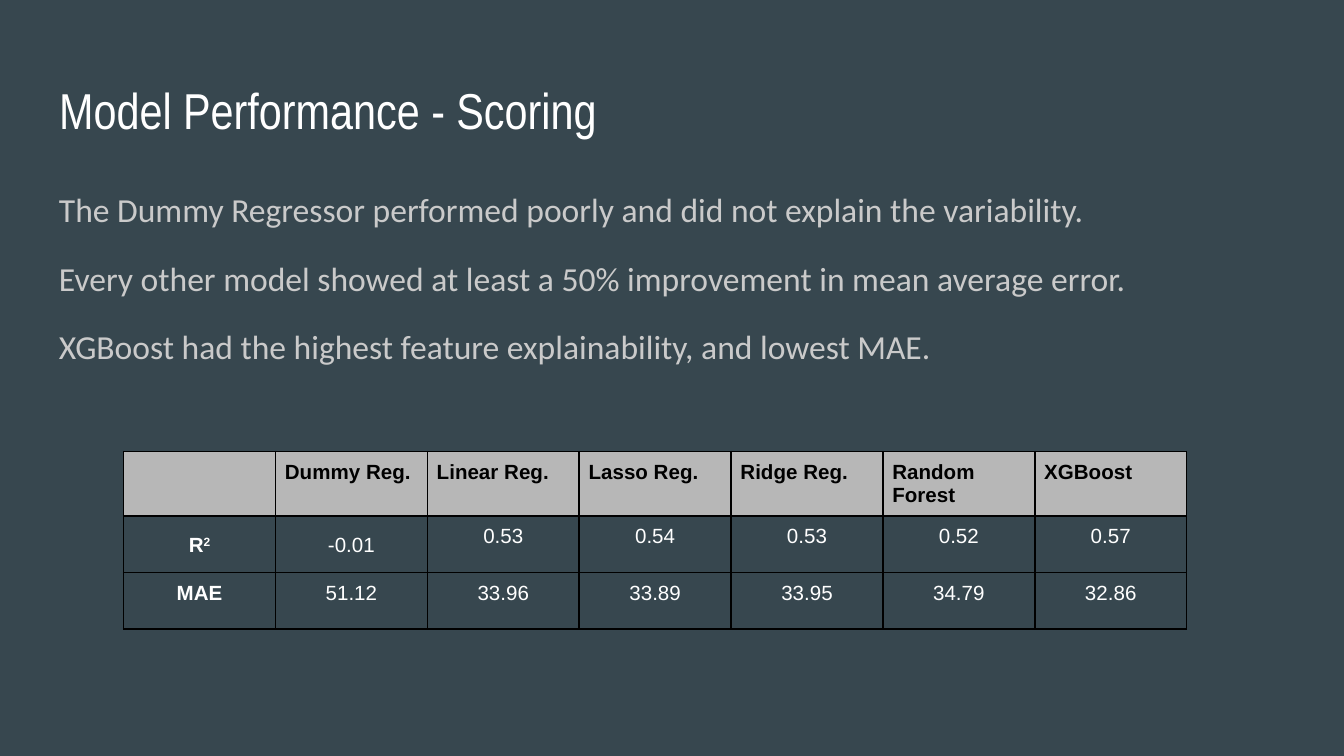
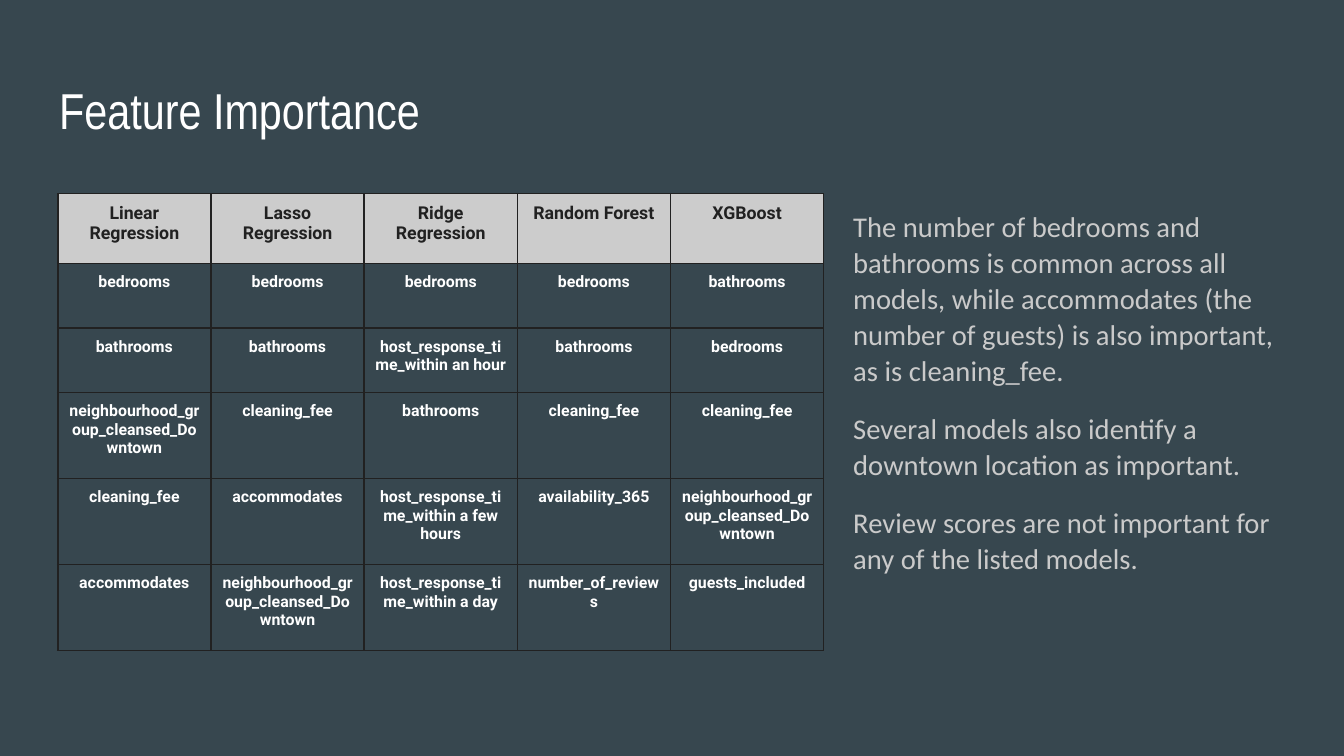
from dataclasses import dataclass

import pptx
import pptx.dml.color
import pptx.enum.text
import pptx.oxml
import pptx.oxml.ns
import pptx.util

Inches = pptx.util.Inches
Pt = pptx.util.Pt
Align = pptx.enum.text.PP_ALIGN


@dataclass(frozen=True)
class Theme:
    back: str = "37474F"
    white: str = "FFFFFF"
    soft: str = "CACACA"
    head_font: str = "Arial Narrow"
    text_font: str = "Calibri"
    head_size: float = 27
    text_size: float = 18
    side_size: float = 15.3
    pad: float = 0.1
    cell_pad: float = 0.07
    gap: float = 12
    edge: float = 1


@dataclass(frozen=True)
class Grid:
    font: str
    head_size: float
    size: float
    ink: str
    fill: str
    line: str
    align: Align
    all_bold: bool


SCORE = Grid("Arial", 11, 11, "000000", "B7B7B7", "000000", Align.LEFT, False)
RANK = Grid("Roboto", 9.5, 8.5, "212121", "CCCCCC", "212121", Align.CENTER, True)


class Deck:
    def __init__(self, theme):
        self.theme = theme
        self.show = pptx.Presentation()
        self.show.slide_width = Inches(10)
        self.show.slide_height = Inches(10) * 9 // 16
        self.slide = None

    def color(self, code):
        return pptx.dml.color.RGBColor.from_string(code)

    def style(self, para, font, size, ink, bold=False):
        for run in para.runs:
            run.font.name = font
            run.font.size = Pt(size)
            run.font.bold = bold
            run.font.color.rgb = self.color(ink)

    def frame(self, shape):
        frame = shape.text_frame
        frame.word_wrap = True
        frame.auto_size = pptx.enum.text.MSO_AUTO_SIZE.NONE
        frame.vertical_anchor = pptx.enum.text.MSO_ANCHOR.TOP
        pad = Inches(self.theme.pad)
        frame.margin_left = frame.margin_right = pad
        frame.margin_top = frame.margin_bottom = pad
        return frame

    def page(self, title):
        look = self.theme
        self.slide = self.show.slides.add_slide(self.show.slide_layouts[5])
        fill = self.slide.background.fill
        fill.solid()
        fill.fore_color.rgb = self.color(look.back)
        shape = self.slide.shapes.title
        shape.left, shape.top = Inches(0.34), Inches(0.49)
        shape.width, shape.height = Inches(9.32), Inches(0.63)
        frame = self.frame(shape)
        frame.text = title
        para = frame.paragraphs[0]
        para.alignment = Align.LEFT
        self.style(para, look.head_font, look.head_size, look.white)

    def body(self, left, top, width, height, lines, size, pitch):
        look = self.theme
        box = self.slide.shapes.add_textbox(
            Inches(left), Inches(top), Inches(width), Inches(height))
        frame = self.frame(box)
        frame.text = "\n".join(lines)
        for index, para in enumerate(frame.paragraphs):
            para.line_spacing = pitch
            para.space_before = Pt(look.gap if index else 0)
            self.style(para, look.text_font, size, look.soft)

    def border(self, cell, code):
        props = cell._tc.get_or_add_tcPr()
        for side in ("lnL", "lnR", "lnT", "lnB"):
            props.append(pptx.oxml.parse_xml(
                f'<a:{side} {pptx.oxml.ns.nsdecls("a")} w="{Pt(self.theme.edge)}">'
                f'<a:solidFill><a:srgbClr val="{code}"/></a:solidFill></a:{side}>'))

    def cell(self, cell, text, grid, head, bold):
        pad = Inches(self.theme.cell_pad)
        cell.margin_left = cell.margin_right = pad
        cell.margin_top = cell.margin_bottom = pad
        self.border(cell, grid.line)
        if head:
            cell.fill.solid()
            cell.fill.fore_color.rgb = self.color(grid.fill)
        else:
            cell.fill.background()
        cell.text_frame.text = text
        para = cell.text_frame.paragraphs[0]
        para.alignment = grid.align if head else Align.CENTER
        size = grid.head_size if head else grid.size
        ink = grid.ink if head else self.theme.white
        self.style(para, grid.font, size, ink, bold)

    def table(self, left, top, width, highs, rows, grid):
        count = len(rows[0])
        table = self.slide.shapes.add_table(
            len(rows), count, Inches(left), Inches(top),
            Inches(width * count), Inches(sum(highs))).table
        table.first_row = table.horz_banding = False
        for col in table.columns:
            col.width = Inches(width)
        for r, (row, high) in enumerate(zip(rows, highs)):
            table.rows[r].height = Inches(high)
            for c, text in enumerate(row):
                bold = grid.all_bold or r == 0 or c == 0
                self.cell(table.cell(r, c), text, grid, r == 0, bold)
        return table

    def power(self, cell, text, grid):
        para = cell.text_frame.paragraphs[0]
        run = para.add_run()
        run.text = text
        self.style(para, grid.font, grid.size, self.theme.white, True)
        run._r.get_or_add_rPr().set("baseline", "30000")


def scoring(deck):
    deck.page("Model Performance - Scoring")
    deck.body(0.34, 1.26, 9.32, 3.74, [
        "The Dummy Regressor performed poorly and did not explain the variability.",
        "Every other model showed at least a 50% improvement in mean average error.",
        "XGBoost had the highest feature explainability, and lowest MAE.",
    ], deck.theme.text_size, 1.15)
    table = deck.table(0.92, 3.36, 1.13, [0.48, 0.42, 0.42], [
        ["", "Dummy Reg.", "Linear Reg.", "Lasso Reg.", "Ridge Reg.",
         "Random Forest", "XGBoost"],
        ["R", "-0.01", "0.53", "0.54", "0.53", "0.52", "0.57"],
        ["MAE", "51.12", "33.96", "33.89", "33.95", "34.79", "32.86"],
    ], SCORE)
    deck.power(table.cell(1, 0), "2", SCORE)
    for col in range(2):
        table.cell(1, col).text_frame.paragraphs[0].line_spacing = 1.36


def ranking(deck):
    deck.page("Feature Importance")
    deck.body(6.25, 1.44, 3.41, 3.55, [
        "The number of bedrooms and bathrooms is common across all models, "
        "while accommodates (the number of guests) is also important, "
        "as is cleaning_fee.",
        "Several models also identify a downtown location as important.",
        "Review scores are not important for any of the listed models.",
    ], deck.theme.side_size, 1.05)
    area = "neighbourhood_group_cleansed_Downtown"
    reply = "host_response_time_within "
    deck.table(0.43, 1.44, 1.14, [0.52, 0.48, 0.48, 0.64, 0.64, 0.64], [
        ["Linear Regression", "Lasso Regression", "Ridge Regression",
         "Random Forest", "XGBoost"],
        ["bedrooms", "bedrooms", "bedrooms", "bedrooms", "bathrooms"],
        ["bathrooms", "bathrooms", reply + "an hour", "bathrooms", "bedrooms"],
        [area, "cleaning_fee", "bathrooms", "cleaning_fee", "cleaning_fee"],
        ["cleaning_fee", "accommodates", reply + "a few hours",
         "availability_365", area],
        ["accommodates", area, reply + "a day", "number_of_reviews",
         "guests_included"],
    ], RANK)


def main():
    deck = Deck(Theme())
    scoring(deck)
    ranking(deck)
    deck.show.save("out.pptx")


if __name__ == "__main__":
    main()
